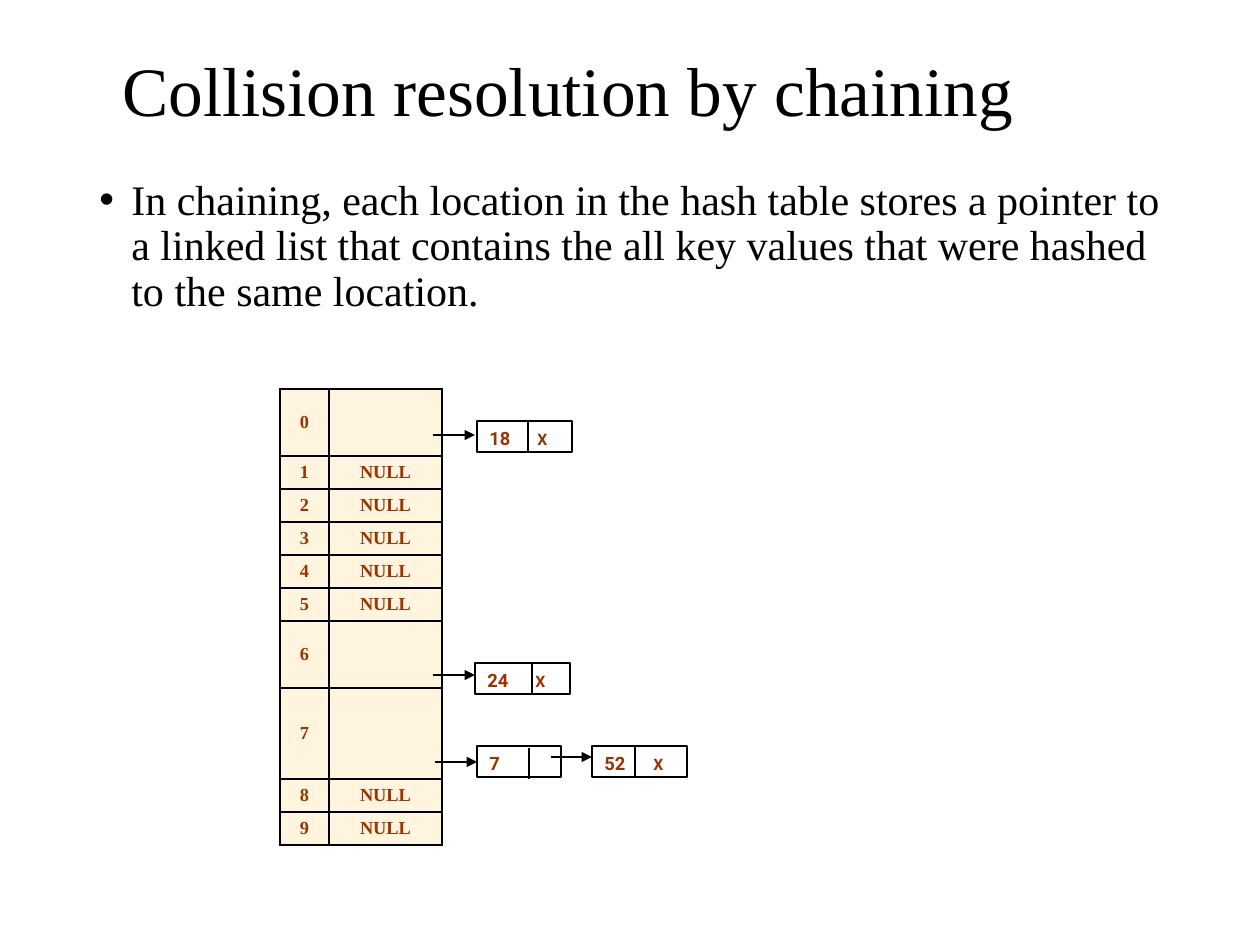
from dataclasses import dataclass

from lxml.etree import SubElement
from pptx import Presentation
from pptx.dml.color import RGBColor
from pptx.enum.shapes import MSO_CONNECTOR, MSO_SHAPE
from pptx.enum.text import MSO_ANCHOR, PP_ALIGN
from pptx.oxml.ns import qn
from pptx.util import Pt

# Content, with positions in px
SLIDE_SIZE = (1260, 945)
TITLE = ("Collision resolution by chaining", (110, 47, 1086, 94))
BODY = (
    "In chaining, each location in the hash table stores a pointer to a linked "
    "list that contains the all key values that were hashed to the same location.",
    (87, 173, 1086, 600),
)
TABLE_ORIGIN = (280, 389)
COLUMN_WIDTHS = (49, 113)
ROW_HEIGHT = 33
CHAINED_ROWS = {0: 67, 6: 67, 7: 91}  # slot: row height
SLOT_COUNT = 10
NODE_HEIGHT = 31
# key, end mark, left, top, width, divider x, divider top
NODES = [
    ("18", "X", 477, 421, 95, 528, 421),
    ("24", "X", 475, 663, 95, 532, 663),
    ("7", "", 477, 746, 84, 529, 748),
    ("52", "X", 592, 746, 95, 635, 746),
]
# start x, end x, y
POINTERS = [(433, 475, 435), (433, 475, 675), (435, 477, 762), (551, 592, 757)]
MARK_TAB = 48
BULLET_INDENT = 32


@dataclass(frozen=True)
class Theme:
    ink: RGBColor = RGBColor(0x00, 0x00, 0x00)
    key: RGBColor = RGBColor(0x99, 0x33, 0x00)
    cell: RGBColor = RGBColor(0xFF, 0xF4, 0xDD)
    node: RGBColor = RGBColor(0xFF, 0xFF, 0xFF)
    serif: str = "Times New Roman"
    sans: str = "Roboto"
    title_size: float = 39.6
    body_size: float = 24
    key_size: float = 10.5
    mark_size: float = 9
    line: float = 0.75
    border: float = 1


THEME = Theme()


def px(value):
    return round(value * 914400 / 126)


def add_run(paragraph, text, name, size, color, bold=False):
    run = paragraph.add_run()
    run.text = text
    run.font.color.rgb = color
    for attribute, value in {"name": name, "size": Pt(size), "bold": bold}.items():
        setattr(run.font, attribute, value)


def add_text(slide, text, box, size, anchor):
    frame = slide.shapes.add_textbox(*map(px, box)).text_frame
    frame.word_wrap = True
    frame.vertical_anchor = anchor
    paragraph = frame.paragraphs[0]
    paragraph.line_spacing = 0.9
    add_run(paragraph, text, THEME.serif, size, THEME.ink)
    return paragraph


def add_bullet(paragraph):
    paragraph.space_before = Pt(10)
    properties = paragraph._p.get_or_add_pPr()
    properties.set("marL", str(px(BULLET_INDENT)))
    properties.set("indent", str(-px(BULLET_INDENT)))
    SubElement(properties, qn("a:buFont"), typeface="Arial")
    SubElement(properties, qn("a:buChar"), char="•")


def add_borders(cell):
    properties = cell._tc.get_or_add_tcPr()
    for index, side in enumerate(("lnL", "lnR", "lnT", "lnB")):
        line = SubElement(properties, qn(f"a:{side}"), w=str(Pt(THEME.border)))
        fill = SubElement(line, qn("a:solidFill"))
        SubElement(fill, qn("a:srgbClr"), val=str(THEME.ink))
        properties.insert(index, line)


def add_hash_table(slide):
    heights = [CHAINED_ROWS.get(slot, ROW_HEIGHT) for slot in range(SLOT_COUNT)]
    size = (sum(COLUMN_WIDTHS), sum(heights))
    table = slide.shapes.add_table(
        SLOT_COUNT, len(COLUMN_WIDTHS), *map(px, TABLE_ORIGIN + size)
    ).table
    table.first_row = table.horz_banding = False
    for column, width in zip(table.columns, COLUMN_WIDTHS):
        column.width = px(width)
    for slot, height in enumerate(heights):
        table.rows[slot].height = px(height)
        texts = (str(slot), "" if slot in CHAINED_ROWS else "NULL")
        for cell, text in zip(table.rows[slot].cells, texts):
            cell.fill.solid()
            cell.fill.fore_color.rgb = THEME.cell
            cell.vertical_anchor = MSO_ANCHOR.MIDDLE
            cell.margin_top = cell.margin_bottom = px(4)
            add_borders(cell)
            paragraph = cell.text_frame.paragraphs[0]
            paragraph.alignment = PP_ALIGN.CENTER
            if text:
                add_run(paragraph, text, THEME.serif, THEME.key_size, THEME.key, True)


def add_line(slide, start, end, arrow=False):
    connector = slide.shapes.add_connector(
        MSO_CONNECTOR.STRAIGHT, *map(px, start + end)
    )
    connector.line.color.rgb = THEME.ink
    connector.line.width = Pt(THEME.line)
    if arrow:
        SubElement(connector.line._get_or_add_ln(), qn("a:tailEnd"), type="triangle")
    SubElement(connector._element.spPr, qn("a:effectLst"))


def add_node(slide, key, mark, left, top, width):
    shape = slide.shapes.add_shape(
        MSO_SHAPE.RECTANGLE, *map(px, (left, top, width, NODE_HEIGHT))
    )
    shape.shadow.inherit = False
    shape.fill.solid()
    shape.fill.fore_color.rgb = THEME.node
    shape.line.color.rgb = THEME.ink
    shape.line.width = Pt(THEME.line)
    shape.text_frame.vertical_anchor = MSO_ANCHOR.TOP
    paragraph = shape.text_frame.paragraphs[0]
    paragraph.alignment = PP_ALIGN.LEFT
    add_run(paragraph, key, THEME.sans, THEME.key_size, THEME.key, True)
    if mark:
        # The tab stop sets the end mark in the right-hand field
        tabs = SubElement(paragraph._p.get_or_add_pPr(), qn("a:tabLst"))
        tab = px(MARK_TAB if left < 592 else MARK_TAB + 1)
        SubElement(tabs, qn("a:tab"), pos=str(tab), algn="l")
        add_run(paragraph, "\t" + mark, THEME.sans, THEME.mark_size, THEME.key, True)


def main():
    presentation = Presentation()
    presentation.slide_width, presentation.slide_height = map(px, SLIDE_SIZE)
    slide = presentation.slides.add_slide(presentation.slide_layouts[6])

    # Heading and explanation
    add_text(slide, *TITLE, THEME.title_size, MSO_ANCHOR.MIDDLE)
    add_bullet(add_text(slide, *BODY, THEME.body_size, MSO_ANCHOR.TOP))

    # Hash table with its chains
    add_hash_table(slide)
    for *node, divider, divider_top in NODES:
        add_node(slide, *node)
        add_line(slide, (divider, divider_top), (divider, divider_top + NODE_HEIGHT))
    for start, end, y in POINTERS:
        add_line(slide, (start, y), (end, y), arrow=True)

    presentation.save("out.pptx")


if __name__ == "__main__":
    main()
